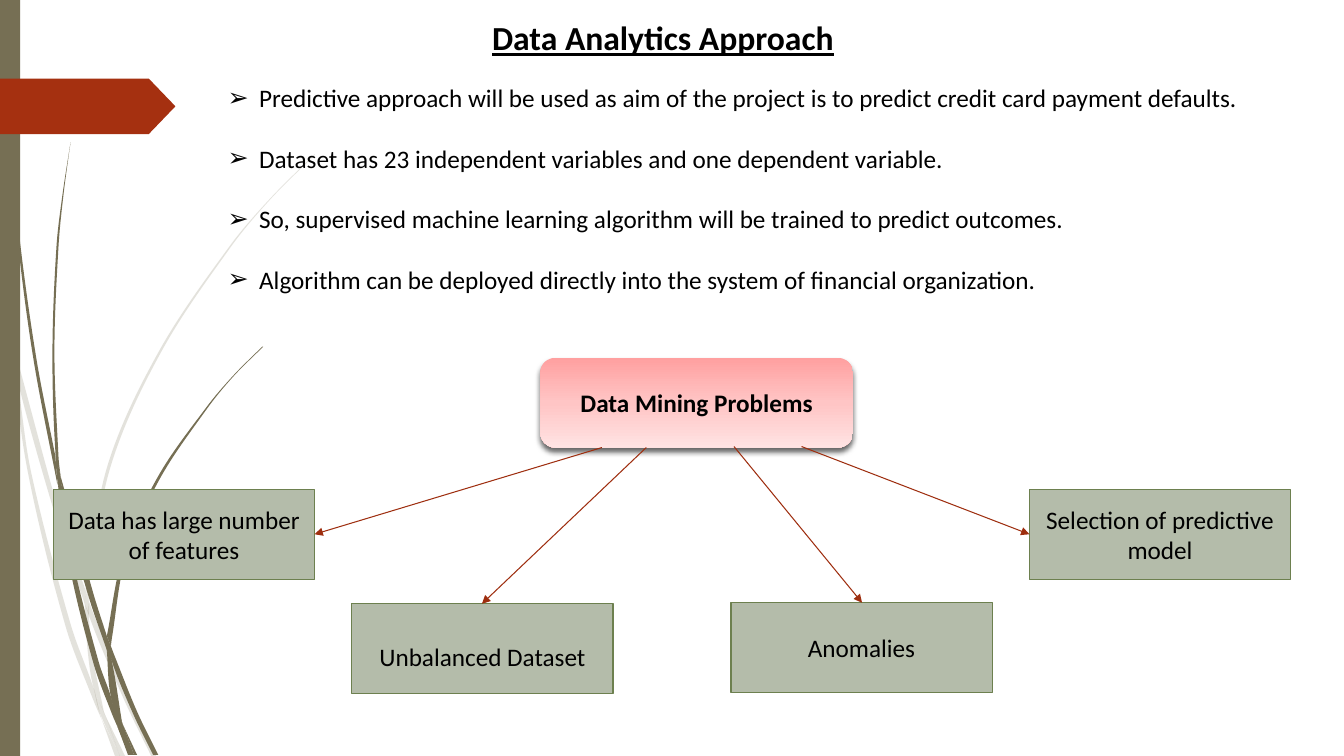
from math import dist
from typing import NamedTuple

from lxml.etree import SubElement
from pptx import Presentation
from pptx.dml.color import RGBColor
from pptx.enum.shapes import MSO_CONNECTOR, MSO_SHAPE
from pptx.enum.text import MSO_ANCHOR, PP_ALIGN
from pptx.oxml import parse_xml
from pptx.oxml.ns import nsdecls, qn
from pptx.util import Inches, Pt

FONT = "Calibri"
BLACK = RGBColor(0x00, 0x00, 0x00)
OLIVE = RGBColor(0x76, 0x6F, 0x54)
RUST = RGBColor(0xA5, 0x30, 0x10)
ARROW_RED = RGBColor(0x9E, 0x2E, 0x0F)
SAGE = RGBColor(0xB4, 0xBC, 0xAA)
MOSS = RGBColor(0x6D, 0x80, 0x4F)
PINKS = {0: RGBColor(0xFF, 0xA0, 0xA0), 50: RGBColor(0xFF, 0xC5, 0xC5), 100: RGBColor(0xFF, 0xE3, 0xE3)}
Point = tuple[float, float]


class Wisp(NamedTuple):
    """A tapering grass blade bounded by two smooth edges."""
    out: list[Point]
    back: list[Point]


class Problem(NamedTuple):
    """A problem box and the arrow that leads to it."""
    label: str
    left: float
    top: float
    arrow_from: Point
    arrow_to: Point
    line_spacing: float = 1.0


PALE_WISPS = [
    Wisp([(0.11, 3.5), (0.09, 3.22), (0, 2.82)], [(0, 2.99), (0.1, 3.44), (0.11, 3.5)]),
    Wisp([(0.14, 3.45), (0.17, 3.76), (0.58, 5.22), (0.84, 5.99)], [(0.85, 5.86), (0.62, 5.2), (0.14, 3.45)]),
    Wisp([(0.88, 5.96), (0.88, 6.1), (1.23, 6.94), (1.5, 7.5)], [(1.55, 7.5), (1.27, 6.92), (0.92, 6.07)]),
    Wisp([(1.05, 7.11), (1.19, 7.5)], [(1.24, 7.5), (1.05, 7.11)]),
    Wisp([(0.11, 3.5), (0.28, 4.7), (0.65, 6.21), (0.92, 6.93), (1.01, 7.14)],
         [(0.99, 7.07), (0.93, 6.83), (0.7, 6.19), (0.31, 4.69), (0.17, 3.76), (0.11, 3.5)]),
    Wisp([(0.84, 5.99), (0.87, 6.46), (0.93, 6.83), (1.05, 7.11)], [(1.03, 7.06), (0.91, 6.46), (0.88, 6.08)]),
    Wisp([(0.88, 5.96), (0.88, 5.84), (1.1, 4.62), (1.6, 3.49), (2.29, 2.45), (2.68, 1.98), (3.12, 1.54)],
         [(3.12, 1.53), (2.68, 1.97), (2.28, 2.44), (1.58, 3.48), (1.07, 4.61), (0.85, 5.84)]),
    Wisp([(1.01, 7.14), (1.14, 7.5)], [(1.19, 7.5), (1.01, 7.14)]),
    Wisp([(0.88, 6.1), (0.88, 5.96)], [(0.85, 5.86), (0.84, 5.99)]),
    Wisp([(0.93, 6.83), (0.99, 7.07), (1.19, 7.5)], [(1.19, 7.5), (1.05, 7.11), (0.96, 6.92)]),
]
DARK_WISPS = [
    Wisp([(0.03, 0), (0.07, 1.1), (0.17, 2.33), (0.33, 3.55), (0.57, 4.81)],
         [(0.55, 4.53), (0.36, 3.55), (0.19, 2.32), (0.08, 1.09), (0.04, 0)]),
    Wisp([(0.6, 4.72), (0.64, 5.05), (0.88, 5.92), (1.06, 6.45)], [(1.06, 6.31), (0.93, 5.9), (0.6, 4.72)]),
    Wisp([(1.1, 6.41), (1.11, 6.56), (1.32, 7.08), (1.52, 7.49)], [(1.57, 7.49), (1.36, 7.06), (1.13, 6.49)]),
    Wisp([(0.57, 4.77), (0.68, 5.57), (0.93, 6.59), (1.11, 7.08), (1.17, 7.22)],
         [(1.16, 7.17), (1.1, 6.91), (0.98, 6.57), (0.72, 5.56), (0.64, 5.05), (0.57, 4.77)]),
    Wisp([(0.6, 4.72), (0.58, 4.53), (0.54, 3.49), (0.58, 2.45), (0.63, 1.93), (0.7, 1.41)],
         [(0.7, 1.41), (0.62, 1.93), (0.56, 2.45), (0.52, 3.49), (0.55, 4.49), (0.6, 4.72)]),
    Wisp([(1.22, 7.19), (1.33, 7.49)], [(1.36, 7.49), (1.22, 7.19)]),
    Wisp([(0.55, 4.49), (0.57, 4.77), (0.64, 5.05)], [(0.6, 4.72), (0.55, 4.49)]),
    Wisp([(1.1, 6.41), (1.11, 6.33), (1.25, 5.52), (1.58, 4.76), (2.05, 4.06), (2.31, 3.74), (2.61, 3.44)],
         [(2.6, 3.44), (2.31, 3.73), (2.04, 4.05), (1.56, 4.74), (1.22, 5.51), (1.06, 6.31)]),
    Wisp([(1.17, 7.22), (1.27, 7.49)], [(1.31, 7.49), (1.17, 7.22)]),
    Wisp([(1.06, 6.45), (1.1, 6.91), (1.22, 7.19)], [(1.21, 7.16), (1.11, 6.56), (1.06, 6.45)]),
    Wisp([(1.06, 6.31), (1.06, 6.45), (1.11, 6.56)], [(1.1, 6.41), (1.06, 6.31)]),
    Wisp([(1.1, 6.91), (1.17, 7.22), (1.3, 7.49)], [(1.33, 7.49), (1.22, 7.19), (1.1, 6.91)]),
]
POINTS = [
    "Predictive approach will be used as aim of the project is to predict credit card payment defaults.",
    "Dataset has 23 independent variables and one dependent variable.",
    "So, supervised machine learning algorithm will be trained to predict outcomes.",
    "Algorithm can be deployed directly into the system of financial organization.",
]
PROBLEMS = [
    Problem("Unbalanced Dataset", 3.49, 5.99, (6.41, 4.44), (4.78, 5.99), 1.5),
    Problem("Data has large number of features", 0.53, 4.86, (5.97, 4.44), (3.12, 5.3)),
    Problem("Anomalies", 7.25, 5.98, (7.28, 4.43), (8.55, 5.98)),
    Problem("Selection of predictive model", 10.21, 4.86, (7.95, 4.43), (10.21, 5.3)),
]


def curve_controls(edge: list[Point]) -> list[list[Point]]:
    """Return the three Bezier points of each step along a smooth edge."""
    padded = [edge[0], *edge, edge[-1]]
    steps = []
    for a, b, c, d in zip(padded, padded[1:], padded[2:], padded[3:]):
        reach = dist(b, c) / 3
        first = tuple(q + (r - p) * reach / dist(a, c) for p, q, r in zip(a, b, c))
        second = tuple(r - (s - q) * reach / dist(b, d) for q, r, s in zip(b, c, d))
        steps.append([first, second, c])
    return steps


def add_wisps(slide, wisps: list[Wisp], opacity: int) -> None:
    """Draw a group of olive grass blades at an opacity in percent."""
    group = slide.shapes.add_group_shape()
    for wisp in wisps:
        anchors = [(Inches(x), Inches(y)) for x, y in wisp.out + wisp.back]
        builder = group.shapes.build_freeform(*anchors[0])
        builder.add_line_segments(anchors[1:], close=True)
        blade = builder.convert_to_shape()
        paint(blade, OLIVE)
        lines = list(blade._element.iter(qn("a:lnTo")))
        curved = lines[:len(wisp.out) - 1] + lines[len(wisp.out):]
        for line, step in zip(curved, curve_controls(wisp.out) + curve_controls(wisp.back)):
            line.tag = qn("a:cubicBezTo")
            line.remove(line[0])
            for x, y in step:
                SubElement(line, qn("a:pt"), x=str(Inches(x) - blade.left), y=str(Inches(y) - blade.top))
        color = blade._element.spPr.find(f"{qn('a:solidFill')}/{qn('a:srgbClr')}")
        SubElement(color, qn("a:alpha"), val=str(opacity * 1000))


def paint(shape, color: RGBColor) -> None:
    """Give a shape a flat fill with no line and no shadow."""
    shape.shadow.inherit = False
    shape.fill.solid()
    shape.fill.fore_color.rgb = color
    shape.line.fill.background()


def add_box(slide, kind: MSO_SHAPE, frame: tuple[float, ...], color: RGBColor):
    """Add a flat preset shape."""
    box = slide.shapes.add_shape(kind, *map(Inches, frame))
    paint(box, color)
    return box


def write(para, text: str, size: int = 18, bold: bool = False, align: PP_ALIGN = PP_ALIGN.LEFT) -> None:
    """Fill and format a whole paragraph."""
    para.text, para.alignment = text, align
    para.font.name, para.font.size, para.font.bold = FONT, Pt(size), bold
    para.font.color.rgb = BLACK


def add_title(slide, text: str) -> None:
    """Move and format the title placeholder."""
    title = slide.shapes.title
    title.left, title.top, title.width, title.height = map(Inches, (4.78, 0.12, 3.77, 0.5))
    title.text_frame.vertical_anchor = MSO_ANCHOR.TOP
    para = title.text_frame.paragraphs[0]
    write(para, text, 24, bold=True)
    para.font.underline = True


def add_points(slide) -> None:
    """Write the bulleted points."""
    frame = slide.shapes.add_textbox(*map(Inches, (2.16, 0.77, 11.17, 2.83))).text_frame
    frame.word_wrap = True
    for index, text in enumerate(POINTS):
        para = frame.add_paragraph() if index else frame.paragraphs[0]
        write(para, text)
        para.space_before = Pt(21.6 if index else 0)
        props = para._p.get_or_add_pPr()
        props.set("marL", str(Pt(22.5)))
        props.set("indent", str(Pt(-22.5)))
        SubElement(props, qn("a:buFont"), typeface="Arial")
        SubElement(props, qn("a:buChar"), char="➢")
        props.append(props.find(qn("a:defRPr")))


def add_root(slide) -> None:
    """Add the shaded box that heads the problem tree."""
    root = add_box(slide, MSO_SHAPE.FLOWCHART_ALTERNATE_PROCESS, (5.36, 3.55, 3.1, 0.89), PINKS[0])
    write(root.text_frame.paragraphs[0], "Data Mining Problems", bold=True, align=PP_ALIGN.CENTER)
    stops = "".join(f'<a:gs pos="{pos * 1000}"><a:srgbClr val="{color}"/></a:gs>' for pos, color in PINKS.items())
    props = root._element.spPr
    props.replace(props.find(qn("a:solidFill")), parse_xml(
        f'<a:gradFill {nsdecls("a")}><a:gsLst>{stops}</a:gsLst><a:lin ang="5400000"/></a:gradFill>'))
    shadow = SubElement(props.find(qn("a:effectLst")), qn("a:outerShdw"),
                        blurRad=str(Pt(4)), dist=str(Pt(3)), dir="5400000", rotWithShape="0")
    SubElement(SubElement(shadow, qn("a:srgbClr"), val=str(BLACK)), qn("a:alpha"), val="60000")


def add_problem(slide, problem: Problem) -> None:
    """Add a problem box and the arrow from the root box."""
    box = add_box(slide, MSO_SHAPE.RECTANGLE, (problem.left, problem.top, 2.59, 0.89), SAGE)
    para = box.text_frame.paragraphs[0]
    write(para, problem.label, align=PP_ALIGN.CENTER)
    para.line_spacing = problem.line_spacing
    ends = map(Inches, problem.arrow_from + problem.arrow_to)
    arrow = slide.shapes.add_connector(MSO_CONNECTOR.STRAIGHT, *ends)
    for line, color in ((box.line, MOSS), (arrow.line, ARROW_RED)):
        line.color.rgb, line.width = color, Pt(0.75)
    SubElement(arrow.line._get_or_add_ln(), qn("a:tailEnd"), type="triangle")
    SubElement(arrow._element.spPr, qn("a:effectLst"))


deck = Presentation()
deck.slide_width, deck.slide_height = Inches(13.33), Inches(7.5)
page = deck.slides.add_slide(deck.slide_layouts[5])
add_wisps(page, PALE_WISPS, 20)
add_wisps(page, DARK_WISPS, 100)
add_box(page, MSO_SHAPE.RECTANGLE, (0, 0, 0.2, 7.5), OLIVE)
add_box(page, MSO_SHAPE.PENTAGON, (0, 0.78, 1.74, 0.55), RUST).adjustments[0] = 0.48
add_title(page, "Data Analytics Approach")
add_points(page)
add_root(page)
for item in PROBLEMS:
    add_problem(page, item)
deck.save("out.pptx")
